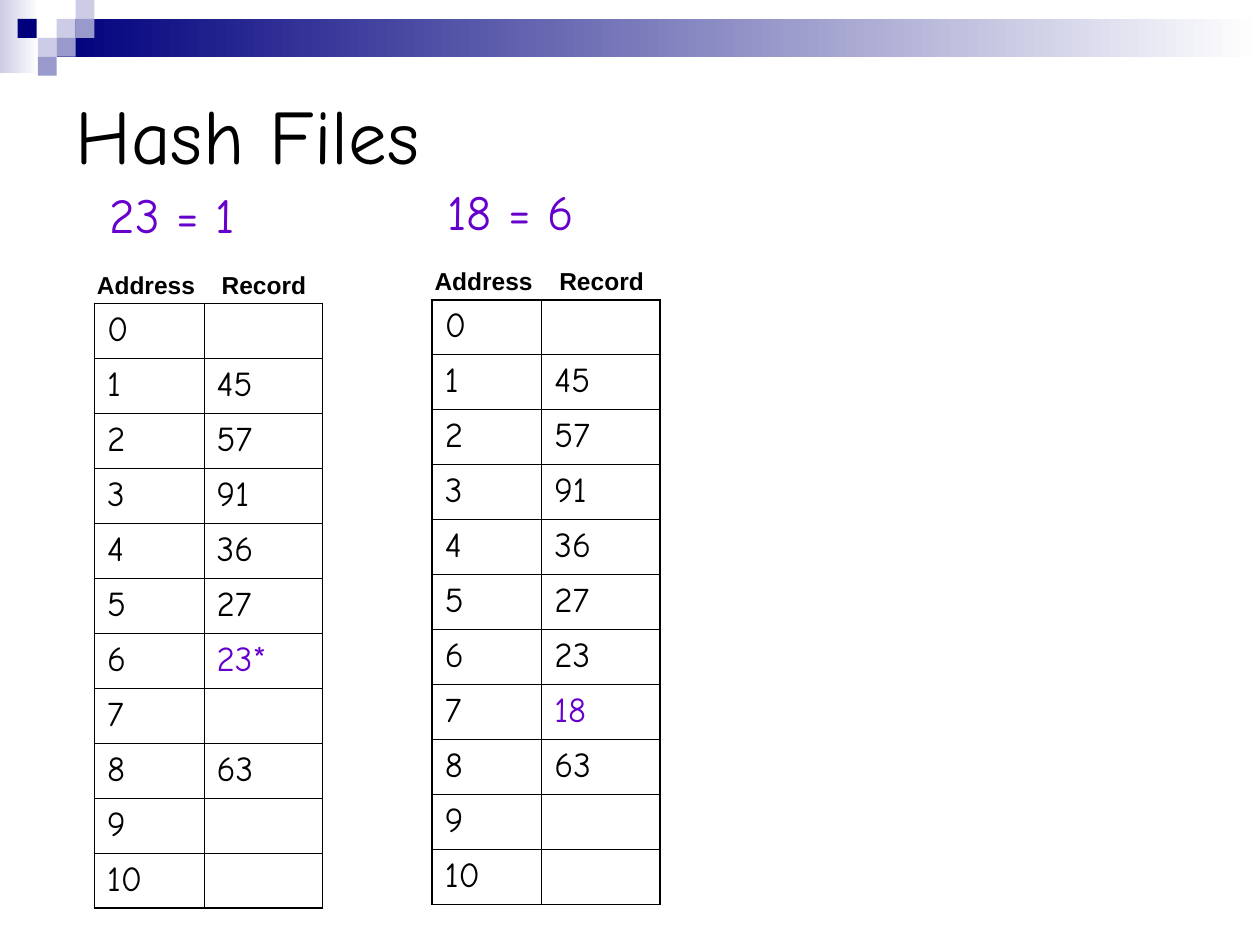
from lxml.etree import SubElement
from pptx import Presentation
from pptx.dml.color import RGBColor
from pptx.enum.shapes import MSO_SHAPE
from pptx.enum.text import MSO_ANCHOR, PP_ALIGN
from pptx.oxml.ns import qn
from pptx.util import Inches, Pt

NAVY, LAVENDER, LILAC = "00007D", "CCCCE6", "9999CC"
BLACK, WHITE, PURPLE = "000000", "FFFFFF", "6600CC"
THIN, THICK = 0.45, 1.08
BLOCK = 0.15  # side of a decorative square


def rgb(color):
    return RGBColor.from_string(color)


class SlideBuilder:
    font = "Comic Neue"

    def __init__(self, prs):
        self.s = prs.slides.add_slide(prs.slide_layouts[5])

    def style(self, p, size, color=BLACK, font=None, bold=False):
        for r in p.runs:
            r.font.size = Pt(size)
            r.font.name = font or self.font
            r.font.bold = bold
            r.font.color.rgb = rgb(color)

    def title(self, text, left, top, width, height):
        sp = self.s.shapes.title
        sp.left, sp.top = Inches(left), Inches(top)
        sp.width, sp.height = Inches(width), Inches(height)
        tf = sp.text_frame
        tf.text = text
        tf.vertical_anchor = MSO_ANCHOR.MIDDLE
        p = tf.paragraphs[0]
        p.alignment = PP_ALIGN.LEFT
        self.style(p, 44)

    def rect(self, left, top, width, height, color, fade=False):
        """Draw a borderless rectangle, fading to white on the right if asked."""
        sp = self.s.shapes.add_shape(MSO_SHAPE.RECTANGLE, Inches(left), Inches(top),
                                     Inches(width), Inches(height))
        sp.shadow.inherit = False
        sp.line.fill.background()
        if fade:
            sp.fill.gradient()
            sp.fill.gradient_angle = 0
            for stop, stop_color in zip(sp.fill.gradient_stops, (color, WHITE)):
                stop.color.rgb = rgb(stop_color)
        else:
            sp.fill.solid()
            sp.fill.fore_color.rgb = rgb(color)

    def text(self, text, left, top, width, height, size, indent=0, tab=None,
             spacing=None, **style):
        sp = self.s.shapes.add_textbox(Inches(left), Inches(top),
                                       Inches(width), Inches(height))
        tf = sp.text_frame
        tf.word_wrap = True
        tf.margin_left = Inches(0.1 + indent)
        p = tf.paragraphs[0]
        p.text = text
        if spacing:
            p.line_spacing = spacing
        if tab:
            tabs = SubElement(p._p.get_or_add_pPr(), qn("a:tabLst"))
            SubElement(tabs, qn("a:tab"), pos=str(Inches(tab)), algn="l")
        self.style(p, size, **style)

    def borders(self, cell, widths):
        """Give a cell black borders, with widths in points by side letter."""
        tc_pr = cell._tc.get_or_add_tcPr()
        for side, width in widths.items():
            ln = SubElement(tc_pr, qn(f"a:ln{side}"), w=str(Pt(width)))
            fill = SubElement(ln, qn("a:solidFill"))
            SubElement(fill, qn("a:srgbClr"), val=BLACK)

    def hash_table(self, left, top, records, highlight):
        """Draw addresses with their records; one address has a purple record."""
        count, widths, height = len(records), (0.87, 0.94), Inches(4.8)
        table = self.s.shapes.add_table(count, 2, Inches(left), Inches(top),
                                        Inches(sum(widths)), height).table
        table.first_row = table.horz_banding = False
        for column, width in zip(table.columns, widths):
            column.width = Inches(width)
        for address, record in enumerate(records):
            table.rows[address].height = height // count
            for col, value in enumerate((str(address), record)):
                cell = table.cell(address, col)
                self.borders(cell, {
                    "L": THICK if col == 0 else THIN,
                    "R": THICK if col == 1 else THIN,
                    "T": THICK if address == 0 else THIN,
                    "B": THICK if address == count - 1 else THIN,
                })
                cell.fill.background()
                cell.text_frame.text = value
                marked = col == 1 and address == highlight
                self.style(cell.text_frame.paragraphs[0], 20,
                           PURPLE if marked else BLACK)

    def hash_step(self, left, top, formula, records, highlight):
        """Place a formula, the column headings and the table below them."""
        self.text(formula, left, top, 1.65, 0.55, 28, indent=0.26,
                  spacing=0.9, color=PURPLE)
        self.hash_table(left + 0.24, top + 0.94, records, highlight)
        self.text("Address\tRecord", left + 0.16, top + 0.62, 1.89, 0.34, 14,
                  tab=0.99, font="Arial", bold=True)


def main():
    prs = Presentation()
    prs.slide_width, prs.slide_height = Inches(10), Inches(7.5)
    slide = SlideBuilder(prs)

    slide.rect(0, 0, 0.31, 0.58, LAVENDER, fade=True)
    slide.rect(0.45, 0.15, 9.55, 0.3, NAVY, fade=True)
    for left, top, color in [
        (0.45, 0.15, LAVENDER), (0.6, 0, LAVENDER), (0.6, 0.15, LILAC),
        (0.3, 0.3, LAVENDER), (0.14, 0.15, NAVY), (0.45, 0.3, LILAC),
        (0.3, 0.45, LILAC),
    ]:
        slide.rect(left, top, BLOCK, BLOCK, color)

    slide.title("Hash Files", 0.5, 0.5, 9, 1.12)
    first = ["", "45", "57", "91", "36", "27", "23*", "", "63", "", ""]
    second = first[:6] + ["23", "18"] + first[8:]
    slide.hash_step(0.51, 1.47, "23 = 1", first, highlight=6)
    slide.hash_step(3.19, 1.44, "18 = 6", second, highlight=7)
    prs.save("out.pptx")


if __name__ == "__main__":
    main()
